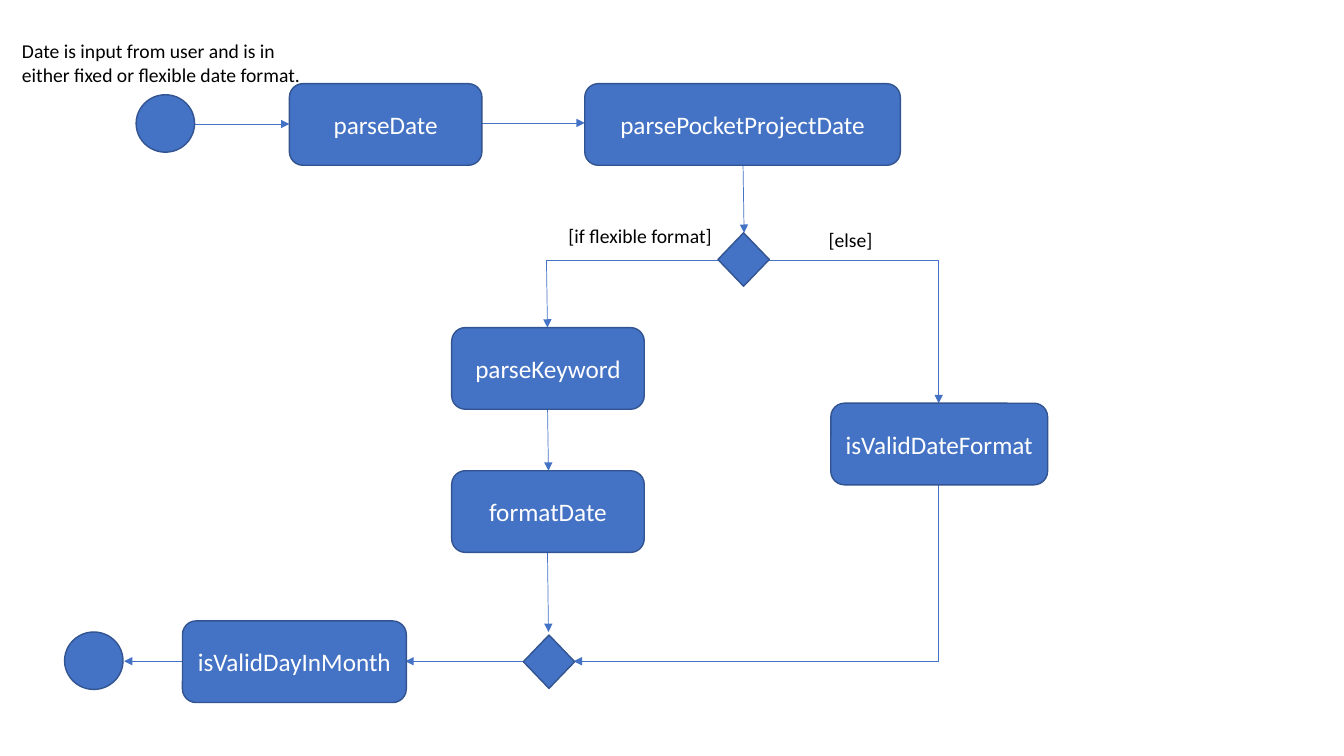
"""Build a flowchart slide of how a date typed by the user is parsed."""
import pptx
import pptx.dml.color
import pptx.enum.shapes
import pptx.enum.text
import pptx.oxml
import pptx.oxml.ns
import pptx.util

RGB = pptx.dml.color.RGBColor
BLUE = RGB(0x44, 0x72, 0xC4)
EDGE = RGB(0x32, 0x54, 0x91)
WHITE = RGB(0xFF, 0xFF, 0xFF)
BLACK = RGB(0, 0, 0)
Pt = pptx.util.Pt
KIND = pptx.enum.shapes.MSO_SHAPE
ALIGN = pptx.enum.text.PP_ALIGN
ANCHOR = pptx.enum.text.MSO_ANCHOR

deck = pptx.Presentation()
deck.slide_width = pptx.util.Inches(13.33)
deck.slide_height = pptx.util.Inches(7.5)
slide = deck.slides.add_slide(deck.slide_layouts[6])
COL = deck.slide_width / 1333
ROW = deck.slide_height / 750


def grid(*cells):
    """Turn alternating columns and rows into slide lengths."""
    return [round(cell * unit) for cell, unit in zip(cells, (COL, ROW) * 2)]


def write(shape, text, size, color, align, wrap):
    """Put styled text into a shape."""
    frame = shape.text_frame
    frame.text = text
    frame.word_wrap = wrap
    para = frame.paragraphs[0]
    para.alignment = align
    style = {"name": "Calibri", "size": Pt(size)}
    for key, value in style.items():
        setattr(para.runs[0].font, key, value)
    para.runs[0].font.color.rgb = color


LEFT, MID, RIGHT = 543, 737, 931
FORK, JOIN = 258, 656
links = [
    (172, 123, 287, 123, True),
    (465, 122, 580, 122, True),
    (MID, 164, MID + 1, 231, True),
    (712, FORK, LEFT - 1, FORK, False),
    (LEFT - 1, FORK, LEFT, 325, True),
    (LEFT, 400, LEFT + 1, 467, True),
    (LEFT, 548, LEFT + 1, 627, True),
    (RIGHT, FORK, 762, FORK, False),
    (RIGHT, FORK, RIGHT, 400, True),
    (RIGHT, 481, RIGHT, JOIN, False),
    (RIGHT, JOIN, 569, JOIN, True),
    (519, JOIN, 402, JOIN, True),
    (181, JOIN, 123, JOIN, True),
]
for *ends, arrow in links:
    link = slide.shapes.add_connector(
        pptx.enum.shapes.MSO_CONNECTOR.STRAIGHT, *grid(*ends))
    link.line.color.rgb = BLUE
    link.line.width = Pt(0.5)
    if arrow:
        tip = pptx.oxml.parse_xml(
            f'<a:tailEnd {pptx.oxml.ns.nsdecls("a")} type="triangle"/>')
        link.line._get_or_add_ln().append(tip)
    flat = pptx.oxml.parse_xml(f'<a:effectLst {pptx.oxml.ns.nsdecls("a")}/>')
    link._element.spPr.append(flat)

BOX, DOT, GEM = KIND.ROUNDED_RECTANGLE, KIND.OVAL, KIND.DIAMOND
tall = {BOX: 81, DOT: 57, GEM: 53}
nodes = [
    (DOT, 135, 94, 58, ""),
    (BOX, 287, 83, 191, "parseDate"),
    (BOX, 580, 83, 313, "parsePocketProjectDate"),
    (GEM, 712, 231, 51, ""),
    (BOX, 448, 325, 191, "parseKeyword"),
    (BOX, 448, 467, 191, "formatDate"),
    (BOX, 824, 400, 215, "isValidDateFormat"),
    (GEM, 519, 630, 51, ""),
    (BOX, 181, 616, 222, "isValidDayInMonth"),
    (DOT, 64, 627, 58, ""),
]
for kind, left, top, wide, name in nodes:
    node = slide.shapes.add_shape(kind, *grid(left, top, wide, tall[kind]))
    node.shadow.inherit = False
    node.fill.solid()
    node.fill.fore_color.rgb = BLUE
    node.line.color.rgb = EDGE
    node.line.width = Pt(1)
    if name:
        write(node, name, 18, WHITE, ALIGN.CENTER, False)
        node.text_frame.vertical_anchor = ANCHOR.MIDDLE

notes = [
    (12, 34, 304, 57, "Date is input from user and is in either fixed or flexible date format."),
    (554, 217, 170, 34, "[if flexible format]"),
    (812, 221, 170, 34, "[else]"),
]
for *place, words in notes:
    note = slide.shapes.add_textbox(*grid(*place))
    write(note, words, 14, BLACK, ALIGN.LEFT, True)

deck.save("out.pptx")
